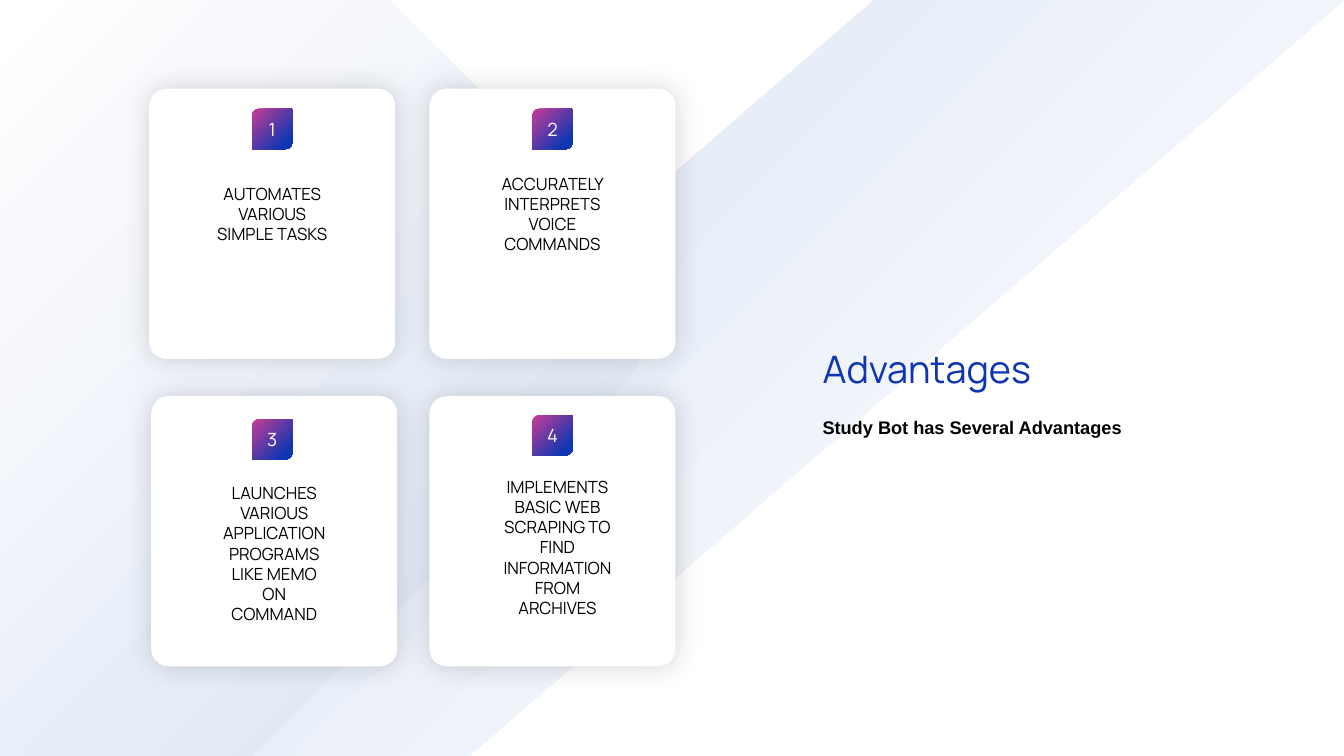
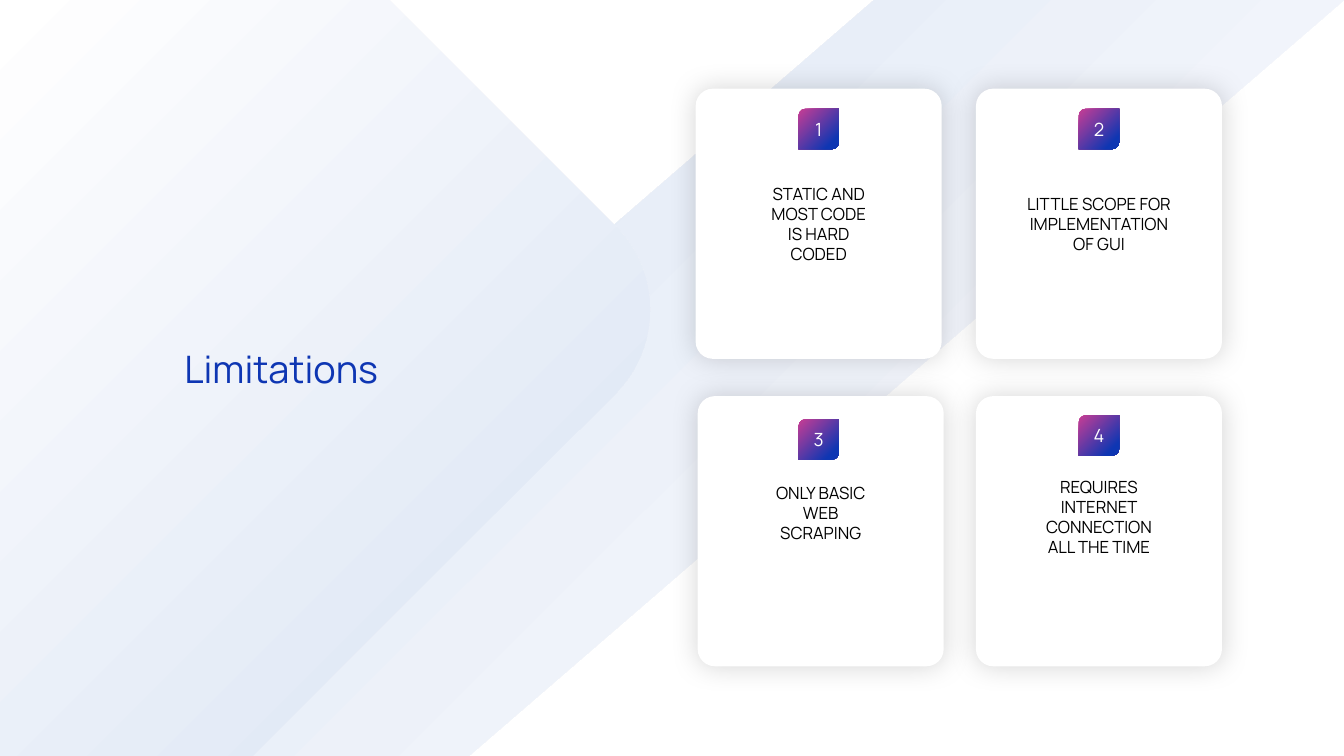
from dataclasses import dataclass
from typing import NamedTuple

from lxml.etree import SubElement
from pptx import Presentation
from pptx.dml.color import RGBColor
from pptx.enum.shapes import MSO_SHAPE
from pptx.enum.text import MSO_ANCHOR, MSO_AUTO_SIZE, PP_ALIGN
from pptx.oxml.ns import qn
from pptx.shapes.autoshape import Shape
from pptx.slide import Slide
from pptx.text.text import TextFrame
from pptx.util import Inches, Pt

COLORS = {
    "white": "FFFFFF",
    "black": "000000",
    "blue": "0E36B3",
    "pink": "C93D94",
    "pale_blue": "D8E2F3",
}
STYLES = {
    "title": ("blue", {"name": "Manrope", "size": Pt(27)}),
    "subtitle": ("black", {"name": "Arial", "size": Pt(13), "bold": True}),
    "card": ("black", {"name": "Manrope", "size": Pt(12)}),
    "badge": ("white", {"name": "Manrope", "size": Pt(13)}),
}

SLIDE_WIDTH, SLIDE_HEIGHT = 13.33, 7.5
CARD_WIDTH, CARD_HEIGHT = 2.44, 2.68
COLUMN_STEP, ROW_STEP = 2.78, 3.05
GRID_TOP = 0.88
BADGE_SIZE = 0.4
TITLE_TOP, SUBTITLE_TOP = 3.38, 4.08


class Point(NamedTuple):
    x: float
    y: float


class Slot(NamedTuple):
    column: int
    row: int
    nudge: float
    badge_drop: float


@dataclass(frozen=True)
class Card:
    text: str
    top: float
    width: float
    height: float
    shift: float = 0


@dataclass(frozen=True)
class Page:
    title: str
    title_left: float
    grid_left: float
    cards: tuple[Card, ...]
    subtitle: str = ""


SLOTS = (
    Slot(0, 0, 0, 0.2),
    Slot(1, 0, 0, 0.2),
    Slot(0, 1, 0.02, 0.23),
    Slot(1, 1, 0, 0.19),
)

PAGES = (
    Page(
        "Advantages", 8.06, 1.48,
        (
            Card("AUTOMATES VARIOUS SIMPLE TASKS", 1.77, 1.29, 0.91),
            Card("ACCURATELY INTERPRETS VOICE COMMANDS", 1.67, 1.34, 0.91),
            Card("LAUNCHES VARIOUS APPLICATION PROGRAMS LIKE MEMO ON COMMAND",
                 4.74, 1.29, 1.52),
            Card("IMPLEMENTS BASIC WEB SCRAPING TO FIND INFORMATION FROM ARCHIVES",
                 4.68, 1.43, 1.52, 0.05),
        ),
        "Study Bot has Several Advantages",
    ),
    Page(
        "Limitations", 1.73, 6.9,
        (
            Card("STATIC AND MOST CODE IS HARD CODED", 1.77, 1.29, 0.91),
            Card("LITTLE SCOPE FOR IMPLEMENTATION OF GUI", 1.87, 1.72, 0.71),
            Card("ONLY BASIC WEB SCRAPING", 4.74, 1.29, 0.71),
            Card("REQUIRES INTERNET CONNECTION ALL THE TIME", 4.68, 1.34, 0.91),
        ),
    ),
)


def color(name: str) -> RGBColor:
    return RGBColor.from_string(COLORS[name])


def curve(start: Point, first: Point, second: Point, end: Point,
          steps: int = 24) -> list[Point]:
    points = []
    for step in range(1, steps + 1):
        t = step / steps
        weights = ((1 - t) ** 3, 3 * t * (1 - t) ** 2, 3 * t * t * (1 - t), t ** 3)
        controls = (start, first, second, end)
        points.append(Point(
            sum(weight * point.x for weight, point in zip(weights, controls)),
            sum(weight * point.y for weight, point in zip(weights, controls)),
        ))
    return points


def fill_gradient(shape: Shape, start: str, end: str, end_position: float = 1) -> None:
    shape.fill.gradient()
    shape.fill.gradient_angle = 315
    for stop, name, position in zip(
        shape.fill.gradient_stops, (start, end), (0, end_position)
    ):
        stop.color.rgb = color(name)
        stop.position = position


def clear_outline(shape: Shape) -> None:
    shape.line.fill.background()
    shape.shadow.inherit = False


def add_glow_shadow(shape: Shape) -> None:
    effects = shape.element.spPr.find(qn("a:effectLst"))
    shadow = SubElement(effects, qn("a:outerShdw"), blurRad=str(Pt(20)),
                        dist="0", dir="0", algn="ctr", rotWithShape="0")
    shade = SubElement(shadow, qn("a:srgbClr"), val=COLORS["black"])
    SubElement(shade, qn("a:alpha"), val="16000")


def write(frame: TextFrame, text: str, style: str, alignment: PP_ALIGN) -> None:
    frame.word_wrap = True
    paragraph = frame.paragraphs[0]
    paragraph.alignment = alignment
    run = paragraph.add_run()
    run.text = text
    color_name, format_values = STYLES[style]
    for attribute, value in format_values.items():
        setattr(run.font, attribute, value)
    run.font.color.rgb = color(color_name)


def add_text(slide: Slide, text: str, style: str, left: float, top: float,
             width: float, height: float,
             alignment: PP_ALIGN = PP_ALIGN.LEFT) -> None:
    box = slide.shapes.add_textbox(
        Inches(left), Inches(top), Inches(width), Inches(height))
    write(box.text_frame, text, style, alignment)
    box.text_frame.auto_size = MSO_AUTO_SIZE.SHAPE_TO_FIT_TEXT


def add_band(slide: Slide, points: list[Point], rotation: float = 0) -> None:
    corners = [(Inches(point.x), Inches(point.y)) for point in points]
    builder = slide.shapes.build_freeform(*corners[0], scale=1.0)
    builder.add_line_segments(corners[1:], close=True)
    band = builder.convert_to_shape()
    band.rotation = rotation
    fill_gradient(band, "white", "pale_blue")
    clear_outline(band)


def add_background(slide: Slide) -> None:
    add_band(slide, [
        Point(4.66, SLIDE_HEIGHT), Point(0, SLIDE_HEIGHT),
        Point(8.68, 0), Point(SLIDE_WIDTH, 0),
    ], rotation=180)
    shoulder = Point(6.11, 2.25)
    add_band(slide, [
        Point(0, 0), Point(3.86, 0), shoulder,
        *curve(shoulder, Point(6.56, 2.7), Point(6.56, 3.44), Point(6.11, 3.9)),
        Point(2.5, SLIDE_HEIGHT), Point(0, SLIDE_HEIGHT),
    ])


def add_card(slide: Slide, card: Card, slot: Slot, number: int,
             grid_left: float) -> None:
    left = grid_left + slot.column * COLUMN_STEP
    top = GRID_TOP + slot.row * ROW_STEP
    center = left + CARD_WIDTH / 2

    panel = slide.shapes.add_shape(
        MSO_SHAPE.ROUNDED_RECTANGLE, Inches(left + slot.nudge), Inches(top),
        Inches(CARD_WIDTH), Inches(CARD_HEIGHT))
    panel.adjustments[0] = 0.07
    panel.fill.solid()
    panel.fill.fore_color.rgb = color("white")
    clear_outline(panel)
    add_glow_shadow(panel)

    add_text(slide, card.text, "card",
             center + slot.nudge + card.shift - card.width / 2,
             card.top, card.width, card.height, PP_ALIGN.CENTER)

    badge = slide.shapes.add_shape(
        MSO_SHAPE.ROUND_2_DIAG_RECTANGLE, Inches(center - BADGE_SIZE / 2),
        Inches(top + slot.badge_drop), Inches(BADGE_SIZE), Inches(BADGE_SIZE))
    badge.adjustments[0] = 0.17
    fill_gradient(badge, "pink", "blue", 0.84)
    clear_outline(badge)
    badge.text_frame.vertical_anchor = MSO_ANCHOR.MIDDLE
    write(badge.text_frame, str(number), "badge", PP_ALIGN.CENTER)


def add_page(presentation: Presentation, page: Page) -> None:
    slide = presentation.slides.add_slide(presentation.slide_layouts[6])
    add_background(slide)
    add_text(slide, page.title, "title", page.title_left, TITLE_TOP, 3.79, 0.56)
    if page.subtitle:
        add_text(slide, page.subtitle, "subtitle",
                 page.title_left, SUBTITLE_TOP, 3.37, 0.32)
    for number, (card, slot) in enumerate(zip(page.cards, SLOTS), start=1):
        add_card(slide, card, slot, number, page.grid_left)


def main() -> None:
    presentation = Presentation()
    presentation.slide_width = Inches(SLIDE_WIDTH)
    presentation.slide_height = Inches(SLIDE_HEIGHT)
    for page in PAGES:
        add_page(presentation, page)
    presentation.save("out.pptx")


if __name__ == "__main__":
    main()
